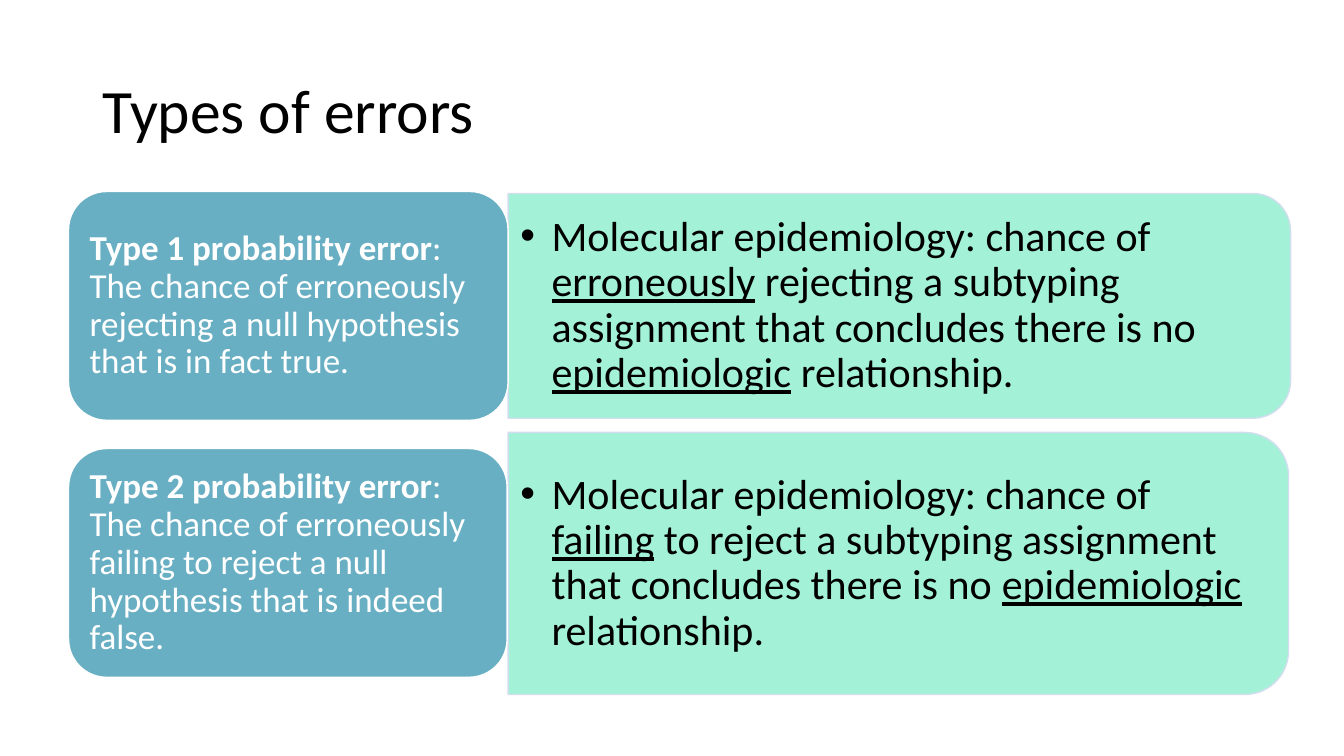
"""Build a slide that compares type 1 and type 2 probability errors."""
from lxml import etree
from pptx import Presentation
from pptx.dml.color import RGBColor
from pptx.enum import shapes, text
from pptx.oxml import ns
from pptx.util import Inches, Pt

COLOURS = {
    "ink": "000000",
    "white": "FFFFFF",
    "card": "69AFC3",
    "band": "9AF0D2",
    "band_line": "D2DEEF",
}
ERRORS = [
    {
        "card": (0.68, 1.9, 4.36, 2.27),
        "band": (5.04, 1.92, 7.76, 2.23),
        "name": "Type 1 probability error",
        "meaning": ": The chance of erroneously rejecting a null hypothesis "
                   "that is in fact true.",
        "key": "erroneously",
        "action": " rejecting",
    },
    {
        "card": (0.68, 4.45, 4.35, 2.27),
        "band": (5.04, 4.29, 7.74, 2.6),
        "name": "Type 2 probability error",
        "meaning": ": The chance of erroneously failing to reject a null "
                   "hypothesis that is indeed false.",
        "key": "failing",
        "action": " to reject",
    },
]


def colour(name):
    """Return the named colour."""
    return RGBColor.from_string(COLOURS[name])


def add_span(para, words, size=30, ink="ink", bold=False, underline=False):
    """Add formatted words to a paragraph."""
    span = para.add_run()
    span.text = words
    span.font.name = "Calibri"
    span.font.size = Pt(size)
    span.font.color.rgb = colour(ink)
    span.font.bold = bold
    span.font.underline = underline


class ErrorSlide:
    """Hold the style and the current slide."""

    def __init__(self, deck):
        """Add a title-only page to the deck."""
        self.page = deck.slides.add_slide(deck.slide_layouts[5])

    def title(self, words):
        """Place and fill the title."""
        box = self.page.shapes.title
        box.left, box.top = Inches(0.92), Inches(0.4)
        box.width, box.height = Inches(11.5), Inches(1.45)
        para = self.frame(box, 0.1)
        add_span(para, words, size=44)

    def frame(self, box, margin):
        """Format the text frame of a box and return its paragraph."""
        frame = box.text_frame
        frame.word_wrap = True
        frame.auto_size = text.MSO_AUTO_SIZE.NONE
        frame.vertical_anchor = text.MSO_ANCHOR.MIDDLE
        frame.margin_left = frame.margin_right = Inches(margin)
        frame.margin_top = frame.margin_bottom = Inches(margin / 2)
        para = frame.paragraphs[0]
        para.alignment = text.PP_ALIGN.LEFT
        para.line_spacing = 0.9
        return para

    def text_box(self, left, top, width, height, margin):
        """Add a text box and return its paragraph."""
        box = self.page.shapes.add_textbox(
            Inches(left), Inches(top), Inches(width), Inches(height))
        return self.frame(box, margin)

    def shape(self, kind, place, fill, line):
        """Add a filled and outlined shape."""
        shape = self.page.shapes.add_shape(kind, *map(Inches, place))
        shape.shadow.inherit = False
        shape.fill.solid()
        shape.fill.fore_color.rgb = colour(fill)
        shape.line.color.rgb = colour(line)
        shape.line.width = Pt(1)
        return shape

    def card(self, place, name, meaning):
        """Add a rounded card with an error and its meaning."""
        self.shape(shapes.MSO_SHAPE.ROUNDED_RECTANGLE, place, "card", "white")
        left, top, width, height = place
        para = self.text_box(left + 0.11, top + 0.11,
                             width - 0.22, height - 0.22, 0.1)
        add_span(para, name, size=25, ink="white", bold=True)
        add_span(para, meaning, size=25, ink="white")

    def band(self, place, spans):
        """Add a band rounded on the right with a bulleted paragraph."""
        left, top, width, height = place
        shift = (width - height) / 2
        shape = self.shape(shapes.MSO_SHAPE.ROUND_2_SAME_RECTANGLE,
                           (left + shift, top - shift, height, width),
                           "band", "band_line")
        shape.rotation = 90
        solid = shape.fill._xPr.find(ns.qn("a:solidFill"))
        etree.SubElement(solid[0], ns.qn("a:alpha"), val="90000")

        inset = height * 0.05
        para = self.text_box(left, top + inset,
                             width - inset, height - 2 * inset, 0.12)
        self.bullet(para)
        for words, underline in spans:
            add_span(para, words, underline=underline)

    def bullet(self, para):
        """Give a paragraph a hanging bullet."""
        properties = para._p.get_or_add_pPr()
        properties.set("marL", str(Inches(0.31)))
        properties.set("indent", str(-Inches(0.31)))
        etree.SubElement(properties, ns.qn("a:buFont"), typeface="Arial")
        etree.SubElement(properties, ns.qn("a:buChar"), char="•")


def main():
    """Build and save the deck."""
    deck = Presentation()
    deck.slide_width, deck.slide_height = Inches(13.33), Inches(7.5)
    slide = ErrorSlide(deck)
    slide.title("Types of errors")
    for error in ERRORS:
        slide.band(error["band"], [
            ("Molecular epidemiology: chance of ", False),
            (error["key"], True),
            (error["action"] + " a subtyping assignment that concludes "
             "there is no ", False),
            ("epidemiologic", True),
            (" relationship.", False),
        ])
        slide.card(error["card"], error["name"], error["meaning"])
    deck.save("out.pptx")


if __name__ == "__main__":
    main()
